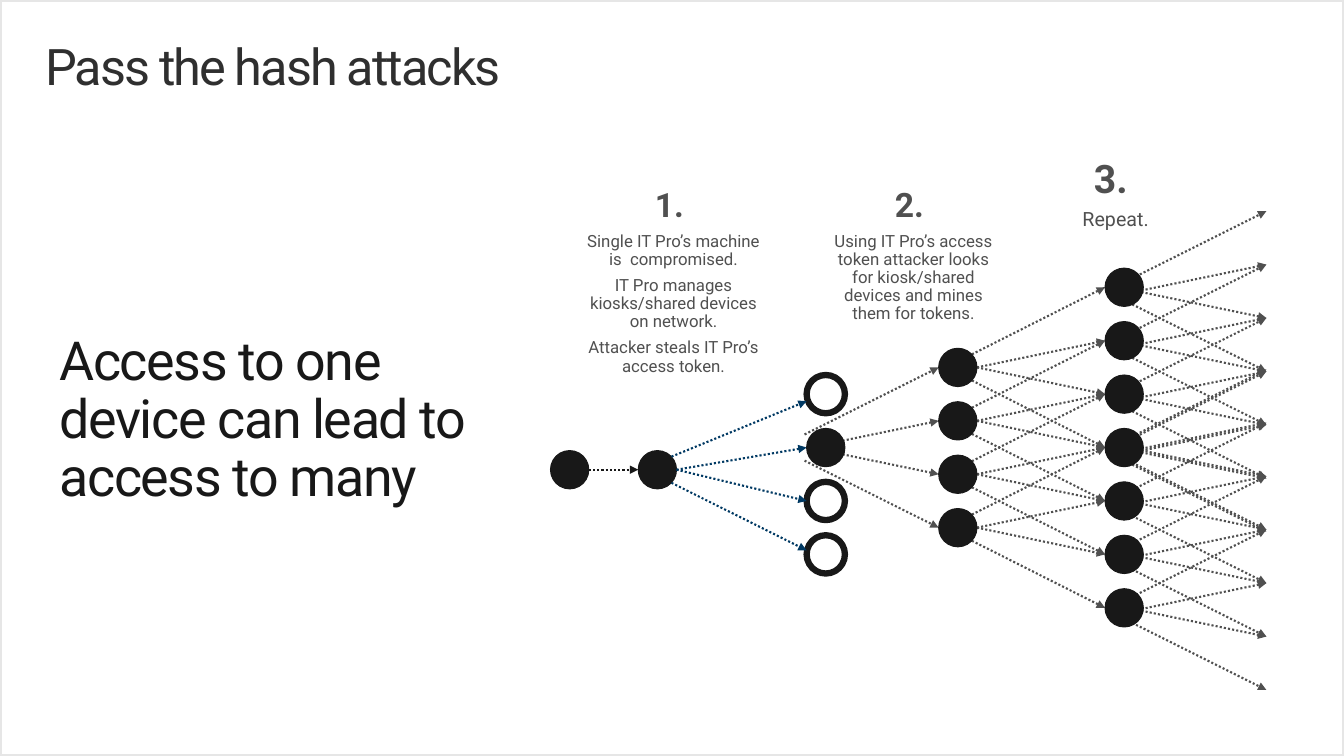
import pptx
import pptx.util
import pptx.dml.color
import pptx.enum.dml
import pptx.enum.shapes
import pptx.enum.text
import pptx.oxml.ns
from lxml import etree

Inches = pptx.util.Inches
RGBColor = pptx.dml.color.RGBColor
MSO_SHAPE = pptx.enum.shapes.MSO_SHAPE
PP_ALIGN = pptx.enum.text.PP_ALIGN

FONT = "Roboto"
FRAME = RGBColor(0xE6, 0xE6, 0xE6)
TITLE = RGBColor(0x2F, 0x2F, 0x2F)
GRAY = RGBColor(0x50, 0x50, 0x50)
INK = RGBColor(0x18, 0x18, 0x18)
NAVY = RGBColor(0x00, 0x39, 0x63)

NODE = 0.38
PITCH = 0.53
STEPS = [
    (0, 0.29, 1.72, 1.89, 24, 12, [
        "1. ",
        "Single IT Pro’s machine is  compromised.",
        "IT Pro manages kiosks/shared devices on network.",
        "Attacker steals IT Pro’s access token."]),
    (2.38, 0.29, 1.72, 1.17, 24, 12, [
        "2. ",
        "Using IT Pro’s access token attacker looks for kiosk/shared "
        "devices and mines them for tokens."]),
    (4.77, 0, 0.95, 0.72, 28, 14, ["3. ", "Repeat."]),
]


def write_text(tf, text, *, size, color, bold=False, align=PP_ALIGN.LEFT, after=0, spacing=0):
    """Add one formatted paragraph, using the first one while it is empty."""
    p = tf.paragraphs[0] if not tf.text else tf.add_paragraph()
    p.alignment = align
    p.line_spacing = 0.9
    p.space_before = pptx.util.Pt(0)
    p.space_after = pptx.util.Pt(after)
    r = p.add_run()
    r.text = text
    r.font.name = FONT
    r.font.size = pptx.util.Pt(size)
    r.font.bold = bold
    r.font.color.rgb = color
    if spacing:
        r.font._element.set("spc", str(round(spacing * 100)))


def set_frame(sp, box, inset_x=0, inset_y=0):
    """Place a text shape and return its wrapped, top-anchored text frame."""
    sp.left, sp.top, sp.width, sp.height = (Inches(v) for v in box)
    tf = sp.text_frame
    tf.word_wrap = True
    tf.auto_size = pptx.enum.text.MSO_AUTO_SIZE.NONE
    tf.vertical_anchor = pptx.enum.text.MSO_ANCHOR.TOP
    tf.margin_left = tf.margin_right = Inches(inset_x)
    tf.margin_top = tf.margin_bottom = Inches(inset_y)
    return tf


def add_outline(s, kind, box, color, weight, fill=None):
    """Add a preset shape with an outline and an optional fill."""
    sp = s.shapes.add_shape(kind, *(Inches(v) for v in box))
    sp.shadow.inherit = False
    sp.line.color.rgb = color
    sp.line.width = pptx.util.Pt(weight)
    if fill is None:
        sp.fill.background()
    else:
        sp.fill.solid()
        sp.fill.fore_color.rgb = fill


def add_node(s, x, cy, hollow=False):
    """Add a round device node from its left edge and middle height."""
    box = (x, cy - NODE / 2, NODE, NODE)
    add_outline(s, MSO_SHAPE.OVAL, box, INK, 4.5 if hollow else 0.75, None if hollow else INK)


def add_arrow(s, x1, y1, x2, y2, color):
    """Add a dotted line with an arrowhead at its end."""
    c = s.shapes.add_connector(pptx.enum.shapes.MSO_CONNECTOR.STRAIGHT,
                               Inches(x1), Inches(y1), Inches(x2), Inches(y2))
    c.line.color.rgb = color
    c.line.width = pptx.util.Pt(1.5)
    c.line.dash_style = pptx.enum.dml.MSO_LINE.ROUND_DOT
    qn = pptx.oxml.ns.qn
    etree.SubElement(c.line._ln, qn("a:tailEnd"), type="triangle")
    etree.SubElement(c._element.spPr, qn("a:effectLst"))


def add_fan(s, x1, cy, x2, targets, color=GRAY):
    """Add four arrows that spread from a node to the target heights."""
    starts = [(-0.05, -0.13), (0, 0), (0, 0), (-0.05, 0.13)]
    for (dx, dy), y2 in zip(starts, targets):
        add_arrow(s, x1 + dx, cy + dy, x2, y2, color)


def column(mid, count):
    """Return evenly spaced heights centred on the given one."""
    return [mid + (i - (count - 1) / 2) * PITCH for i in range(count)]


def add_title(s, box):
    """Place and format the slide title."""
    tf = set_frame(s.shapes.title, box, 0.16, 0.1)
    write_text(tf, "Pass the hash attacks", size=36, color=TITLE, spacing=-1.4)


def add_statement(s, box):
    """Add the large statement on the left."""
    tf = set_frame(s.shapes.add_textbox(0, 0, 0, 0), box, 0.19, 0.15)
    write_text(tf, "Access to one device can lead to access to many",
               size=38.4, color=INK, after=5.7, spacing=-1)


def add_steps(s, box):
    """Add the three numbered step captions."""
    for dx, dy, w, h, number_size, size, lines in STEPS:
        tf = set_frame(s.shapes.add_textbox(0, 0, 0, 0), (box[0] + dx, box[1] + dy, w, h))
        for i, line in enumerate(lines):
            write_text(tf, line, size=size if i else number_size, color=GRAY,
                       bold=i == 0, align=PP_ALIGN.CENTER, after=5.7)


def add_network(s, box):
    """Add the spreading network of devices and access paths."""
    x, y, w, h = box
    source_x, pro_x, kiosk_x, second_x, third_x = (x + d for d in (0, 0.87, 2.54, 3.85, 5.5))
    pro_y, mid = y + 2.57, y + 2.35
    kiosks = [mid + (i - 1) * PITCH for i in range(4)]
    second, third = column(mid, 4), column(mid, 7)

    for first_y in (y + 0.8, y + 2.37):
        for i in range(4):
            cy = first_y + i * PITCH
            add_fan(s, x + 5.82, cy, x + w, column(cy, 4))
    for cy in second:
        add_fan(s, second_x + NODE, cy, third_x, column(cy, 4))
    add_fan(s, kiosk_x + 0.03, mid, second_x, second)

    for node_x, heights in ((source_x, [pro_y]), (pro_x, [pro_y]),
                            (second_x, second), (third_x, third)):
        for cy in heights:
            add_node(s, node_x, cy)
    add_arrow(s, source_x + NODE, pro_y, pro_x, pro_y, INK)

    for cy in kiosks:
        if cy != mid:
            add_node(s, kiosk_x, cy, hollow=True)
    targets = [y + d for d in (1.89, 2.35, 2.88, 3.37)]
    add_fan(s, pro_x + NODE, pro_y, kiosk_x, targets, NAVY)
    add_node(s, kiosk_x, mid)


def main():
    """Build the slide and save it."""
    prs = pptx.Presentation()
    prs.slide_width, prs.slide_height = Inches(13.33), Inches(7.5)
    s = prs.slides.add_slide(prs.slide_layouts[5])
    add_outline(s, MSO_SHAPE.RECTANGLE, (0, 0, 13.33, 7.5), FRAME, 3)
    add_title(s, (0.29, 0.32, 11.8, 0.84))
    add_steps(s, (5.82, 1.58, 5.72, 2.18))
    add_statement(s, (0.4, 3.16, 4.49, 2.05))
    add_network(s, (5.46, 2.09, 7.1, 4.76))
    prs.save("out.pptx")


if __name__ == "__main__":
    main()
